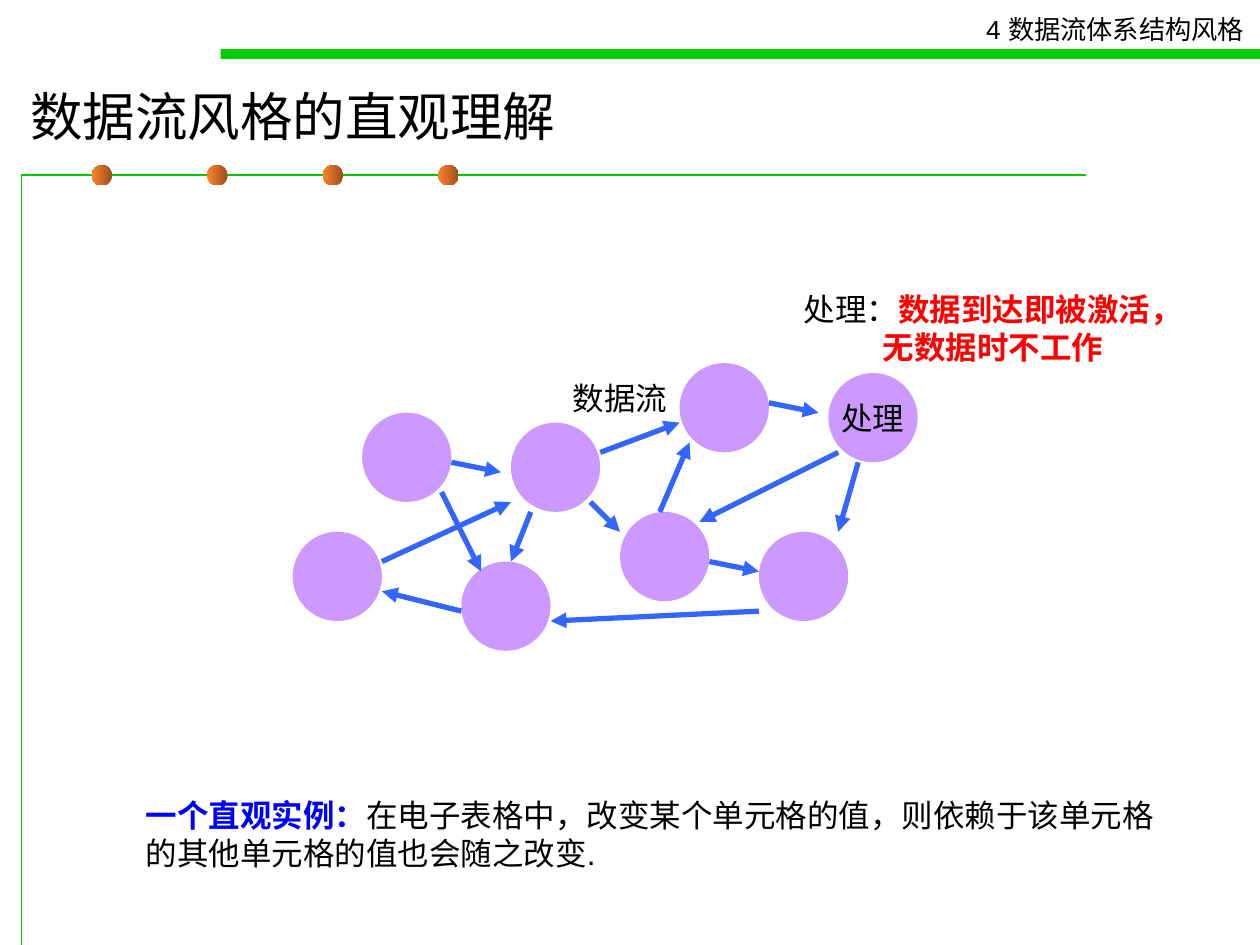
"""Build the slide on the intuitive view of the data-flow style."""
from dataclasses import dataclass

from lxml import etree
from pptx import Presentation
from pptx import util as u
from pptx.dml.color import RGBColor
from pptx.enum import shapes, text
from pptx.oxml.ns import qn


@dataclass(frozen=True)
class Theme:
    green: str = "00CC00"
    dot_dark: str = "9A4E1B"
    dot_light: str = "FF822D"
    node: str = "CC99FF"
    flow: str = "3366FF"
    ink: str = "000000"
    red: str = "FF0000"
    blue: str = "0000FF"
    head_font: str = "Arial"
    label_font: str = "Roboto"
    header: float = 15
    title: float = 30
    body: float = 18


class Deck:
    def __init__(self, theme):
        self.t = theme
        self.prs = Presentation()
        self.prs.slide_width, self.prs.slide_height = u.Cm(25.4), u.Cm(19.05)
        self.s = self.prs.slides.add_slide(self.prs.slide_layouts[6])

    def shape(self, kind, x, y, w, h, color):
        sp = self.s.shapes.add_shape(kind, u.Cm(x), u.Cm(y), u.Cm(w), u.Cm(h))
        sp.shadow.inherit = False
        sp.line.fill.background()
        sp.fill.solid()
        sp.fill.fore_color.rgb = RGBColor.from_string(color)
        return sp

    def dot(self, x, y, d):
        sp = self.shape(shapes.MSO_SHAPE.OVAL, x, y, d, d, self.t.dot_dark)
        sp.fill.gradient()
        sp.fill.gradient_angle = 180
        for stop, color in zip(sp.fill.gradient_stops, (self.t.dot_dark, self.t.dot_light)):
            stop.color.rgb = RGBColor.from_string(color)

    def frame(self, points):
        (x, y), *rest = [(u.Cm(a), u.Cm(b)) for a, b in points]
        fb = self.s.shapes.build_freeform(x, y)
        fb.add_line_segments(rest, close=False)
        sp = fb.convert_to_shape()
        sp.shadow.inherit = False
        sp.fill.background()
        sp.line.color.rgb = RGBColor.from_string(self.t.green)
        sp.line.width = u.Pt(0.75)

    def arrow(self, x1, y1, x2, y2):
        c = self.s.shapes.add_connector(shapes.MSO_CONNECTOR.STRAIGHT, *map(u.Cm, (x1, y1, x2, y2)))
        c.line.color.rgb = RGBColor.from_string(self.t.flow)
        c.line.width = u.Pt(3)
        ln = c.line._get_or_add_ln()
        etree.SubElement(ln, qn("a:tailEnd"), type="triangle")
        etree.SubElement(c._element.spPr, qn("a:effectLst"))

    def text(self, x, y, w, h, paragraphs, size, font, wrap=False, center=False, middle=False):
        tb = self.s.shapes.add_textbox(u.Cm(x), u.Cm(y), u.Cm(w), u.Cm(h))
        tf = tb.text_frame
        tf.word_wrap = wrap
        if middle:
            tf.vertical_anchor = text.MSO_ANCHOR.MIDDLE
        else:
            tf.auto_size = text.MSO_AUTO_SIZE.SHAPE_TO_FIT_TEXT
        for i, runs in enumerate(paragraphs):
            p = tf.add_paragraph() if i else tf.paragraphs[0]
            p.alignment = text.PP_ALIGN.CENTER if center else text.PP_ALIGN.LEFT
            for words, color, bold in runs:
                r = p.add_run()
                r.text = words
                r.font.size, r.font.name, r.font.bold = u.Pt(size), font, bold
                r.font.color.rgb = RGBColor.from_string(color)


def main():
    t = Theme()
    d = Deck(t)

    d.frame([(0.43, 19.05), (0.43, 3.53), (21.89, 3.53)])
    for i in range(4):
        d.dot(1.85 + 2.33 * i, 3.33, 0.41)
    d.shape(shapes.MSO_SHAPE.RECTANGLE, 4.45, 0.99, 20.95, 0.2, t.green)
    d.text(19.63, 0.15, 5.84, 0.89, [[("4 数据流体系结构风格", t.ink, False)]], t.header, t.head_font)
    d.text(0.36, 1.42, 23.6, 1.8, [[("数据流风格的直观理解", t.ink, False)]],
           t.title, t.head_font, wrap=True, middle=True)

    left, top, step = 5.9, 7.32, 0.2
    nodes = [(7, 5), (22, 6), (0, 17), (17, 20), (39, 0), (33, 15), (54, 1), (47, 17)]
    flows = [
        (16, 10, 21, 11), (15, 13, 19, 21), (24, 15, 22, 20), (9, 20, 22, 14),
        (17, 25, 9, 23), (31, 9, 39, 6), (37, 15, 40, 8), (30, 14, 33, 17),
        (48, 4, 53, 5), (55, 9, 41, 16), (57, 10, 55, 17), (47, 25, 26, 26),
        (42, 20, 47, 21),
    ]
    for x, y in nodes:
        d.shape(shapes.MSO_SHAPE.OVAL, left + step * x, top + step * y, 9 * step, 9 * step, t.node)
    for x1, y1, x2, y2 in flows:
        d.arrow(left + step * x1, top + step * y1, left + step * x2, top + step * y2)

    for x, y, w, label in [(11.3, 7.52, 2.41, "数据流"), (16.71, 7.92, 1.78, "处理")]:
        d.text(x, y, w, 1.02, [[(label, t.ink, False)]], t.body, t.label_font)
    d.text(15.95, 5.72, 8.13, 1.78,
           [[("处理：", t.ink, False), ("数据到达即被激活，", t.red, True)],
            [("无数据时不工作", t.red, True)]],
           t.body, t.label_font, center=True)
    d.text(2.69, 15.93, 21.06, 1.78,
           [[("一个直观实例：", t.blue, True),
             ("在电子表格中，改变某个单元格的值，则依赖于该单元格的其他单元格的值也会随之改变.", t.ink, False)]],
           t.body, t.head_font, wrap=True)

    d.prs.save("out.pptx")


if __name__ == "__main__":
    main()
